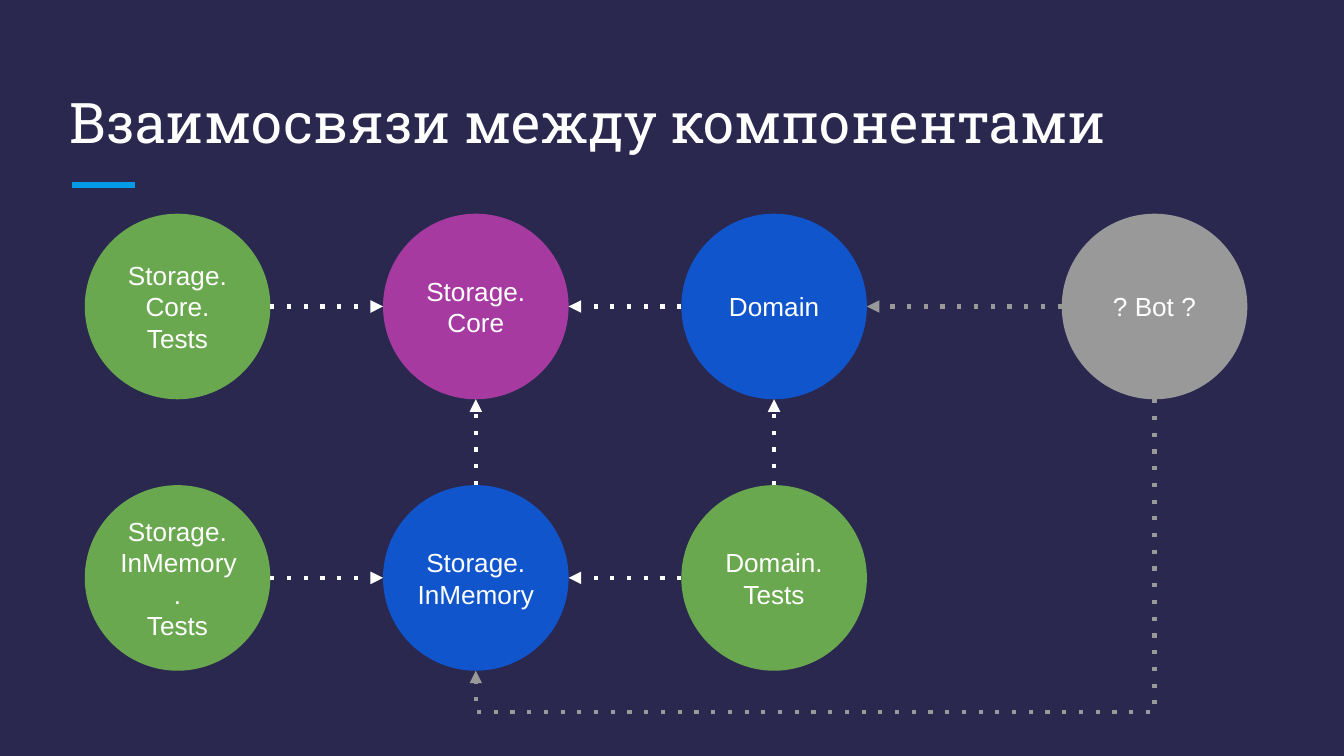
from dataclasses import dataclass

from lxml.etree import SubElement
from pptx import Presentation
from pptx.dml.color import RGBColor
from pptx.enum.shapes import MSO_CONNECTOR as Link, MSO_SHAPE as Shape
from pptx.enum.text import MSO_ANCHOR as Anchor, MSO_AUTO_SIZE as AutoSize, PP_ALIGN as Align
from pptx.oxml.ns import qn
from pptx.util import Pt


@dataclass(frozen=True)
class Theme:
    """Colours, fonts and sizes of the slide."""
    background: str = "2A284F"
    accent: str = "039BE5"
    text: str = "FFFFFF"
    tests: str = "6AA84F"
    core: str = "A63AA0"
    library: str = "1155CC"
    planned: str = "999999"
    title_font: str = "Roboto Slab"
    body_font: str = "Arial"
    title_size: float = 30
    body_size: float = 14
    link_width: float = 2.25
    accent_width: float = 3


THEME = Theme()
DIAMETER = 99.4
COLUMNS = (45.4, 205.2, 365, 568.8)
ROWS = (114.5, 259.9)
DETOUR = 22.4

COMPONENTS = {
    "core_tests": ("Storage.\nCore.\nTests", 0, 0, THEME.tests),
    "core": ("Storage.\nCore", 1, 0, THEME.core),
    "domain": ("Domain", 2, 0, THEME.library),
    "bot": ("? Bot ?", 3, 0, THEME.planned),
    "memory_tests": ("Storage.\nInMemory.\nTests", 0, 1, THEME.tests),
    "memory": ("Storage.\nInMemory", 1, 1, THEME.library),
    "domain_tests": ("Domain.\nTests", 2, 1, THEME.tests),
}
DEPENDENCIES = (
    ("core_tests", "core", THEME.text),
    ("domain", "core", THEME.text),
    ("memory", "core", THEME.text),
    ("memory_tests", "memory", THEME.text),
    ("domain_tests", "memory", THEME.text),
    ("domain_tests", "domain", THEME.text),
    ("bot", "domain", THEME.planned),
)


def rgb(value):
    """Turn a hex string into a colour."""
    return RGBColor.from_string(value)


def style_font(font, name, size):
    """Set family, size and the common text colour."""
    font.name = name
    font.size = Pt(size)
    font.color.rgb = rgb(THEME.text)


def add_title(page, text):
    """Place and format the title placeholder."""
    title = page.shapes.title
    title.left, title.top, title.width, title.height = Pt(30.2), Pt(36), Pt(658.8), Pt(54)
    frame = title.text_frame
    frame.text = text
    frame.auto_size = AutoSize.NONE
    frame.vertical_anchor = Anchor.BOTTOM
    frame.margin_left = frame.margin_right = frame.margin_top = frame.margin_bottom = Pt(7.2)
    para = frame.paragraphs[0]
    para.alignment = Align.LEFT
    style_font(para.font, THEME.title_font, THEME.title_size)


def add_line(page, start, end, color, width, kind=Link.STRAIGHT):
    """Draw a plain connector without a shadow."""
    points = [Pt(value) for value in (*start, *end)]
    line = page.shapes.add_connector(kind, *points)
    line.line.color.rgb = rgb(color)
    line.line.width = Pt(width)
    SubElement(line._element.spPr, qn("a:effectLst"))
    return line


def add_arrow(page, start, end, color, kind=Link.STRAIGHT):
    """Draw a dotted connector with a triangular head at its end."""
    arrow = add_line(page, start, end, color, THEME.link_width, kind)
    outline = arrow._element.spPr.find(qn("a:ln"))
    SubElement(outline, qn("a:prstDash"), val="dot")
    SubElement(outline, qn("a:tailEnd"), type="triangle")
    return arrow


def add_component(page, text, column, row, color):
    """Draw a labelled circle in its grid cell."""
    circle = page.shapes.add_shape(
        Shape.OVAL, Pt(COLUMNS[column]), Pt(ROWS[row]), Pt(DIAMETER), Pt(DIAMETER))
    circle.shadow.inherit = False
    circle.fill.solid()
    circle.fill.fore_color.rgb = rgb(color)
    circle.line.fill.background()
    frame = circle.text_frame
    frame.word_wrap = True
    frame.vertical_anchor = Anchor.MIDDLE
    frame.margin_left = frame.margin_right = frame.margin_top = frame.margin_bottom = Pt(2.88)
    para = frame.paragraphs[0]
    para.text = text
    para.alignment = Align.CENTER
    style_font(para.font, THEME.body_font, THEME.body_size)


def center(name):
    """Return the middle of a component's circle."""
    _, column, row, _ = COMPONENTS[name]
    return COLUMNS[column] + DIAMETER / 2, ROWS[row] + DIAMETER / 2


def toward(origin, target):
    """Move from a circle's centre to its edge along the shared axis."""
    return tuple(a + DIAMETER / 2 * ((b > a) - (b < a)) for a, b in zip(origin, target))


def add_dependency(page, source, target, color):
    """Link two neighbouring components edge to edge."""
    start, end = center(source), center(target)
    add_arrow(page, toward(start, end), toward(end, start), color)


def add_detour(page, source, target, color):
    """Link two components from below with a quarter-turned elbow."""
    (x1, y1), (x2, y2) = center(source), center(target)
    run, drop = x1 - x2, y2 - y1
    middle_x, middle_y = (x1 + x2) / 2, (y1 + y2 + DIAMETER) / 2
    arrow = add_arrow(
        page, (middle_x - drop / 2, middle_y - run / 2),
        (middle_x + drop / 2, middle_y + run / 2), color, Link.ELBOW)
    properties = arrow._element.spPr
    properties.find(qn("a:xfrm")).set("rot", str(90 * 60000))
    adjustments = properties.find(qn("a:prstGeom")).find(qn("a:avLst"))
    bend = round((1 + DETOUR / drop) * 100000)
    SubElement(adjustments, qn("a:gd"), name="adj1", fmla=f"val {bend}")


def main():
    """Build and save the component diagram."""
    deck = Presentation()
    deck.slide_width, deck.slide_height = Pt(720), Pt(405)
    page = deck.slides.add_slide(deck.slide_layouts[5])
    page.background.fill.solid()
    page.background.fill.fore_color.rgb = rgb(THEME.background)
    add_line(page, (38.6, 99), (72.3, 99), THEME.accent, THEME.accent_width)
    add_title(page, "Взаимосвязи между компонентами")
    for component in COMPONENTS.values():
        add_component(page, *component)
    for dependency in DEPENDENCIES:
        add_dependency(page, *dependency)
    add_detour(page, "bot", "memory", THEME.planned)
    deck.save("out.pptx")


if __name__ == "__main__":
    main()
